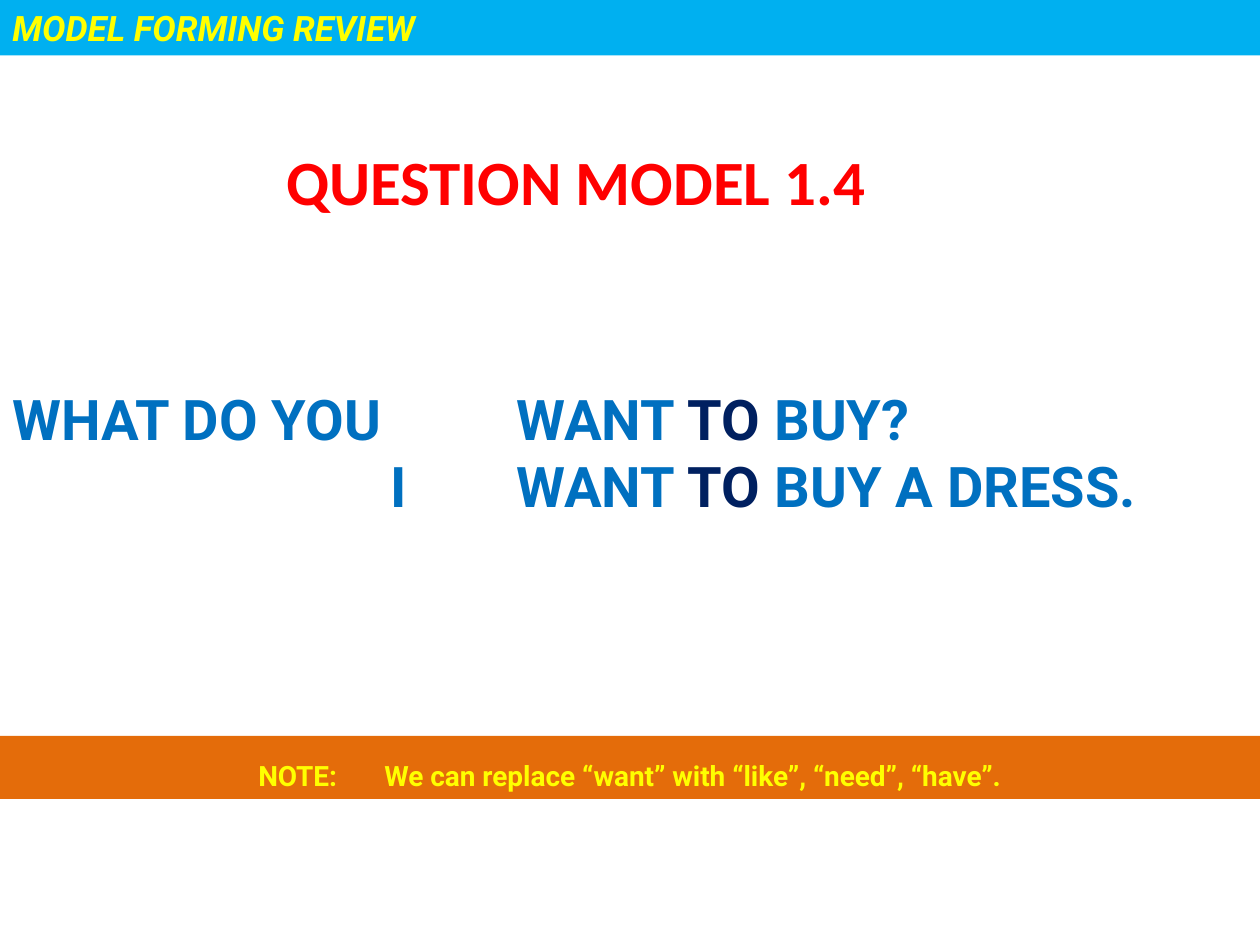
from pptx import Presentation
from pptx import util as u
from pptx.dml.color import RGBColor
from pptx.enum import shapes, text
from pptx.oxml.ns import qn
from lxml import etree

WIDTH, HEIGHT = 10, 7.5
BLUE, NAVY, YELLOW = "0070C0", "002060", "FFFF00"


def colour(code):
    return RGBColor.from_string(code)


def place(box, left, top, width, height):
    box.left, box.top = u.Inches(left), u.Inches(top)
    box.width, box.height = u.Inches(width), u.Inches(height)


def add_tabs(para, count):
    """Set left tab stops one inch apart."""
    tabs = etree.SubElement(para._p.get_or_add_pPr(), qn("a:tabLst"))
    for stop in range(1, count + 1):
        etree.SubElement(tabs, qn("a:tab"), pos=str(u.Inches(stop)), algn="l")


def write(box, lines, size, font="Roboto", italic=False,
          align=text.PP_ALIGN.LEFT, spacing=1.0, tabs=0):
    """Fill a box with lines, each a list of (wording, colour) spans."""
    frame = box.text_frame
    frame.word_wrap = True
    frame.auto_size = text.MSO_AUTO_SIZE.NONE
    frame.vertical_anchor = text.MSO_ANCHOR.TOP
    for index, spans in enumerate(lines):
        para = frame.add_paragraph() if index else frame.paragraphs[0]
        para.alignment = align
        para.line_spacing = spacing
        if tabs:
            add_tabs(para, tabs)
        for wording, code in spans:
            span = para.add_run()
            span.text = wording
            span.font.name = font
            span.font.size = u.Pt(size)
            span.font.bold = True
            span.font.italic = italic
            span.font.color.rgb = colour(code)


def add_band(page, top, height, fill, wording, size, **style):
    """Draw a full-width band with yellow wording."""
    band = page.shapes.add_shape(shapes.MSO_SHAPE.RECTANGLE, 0, 0, 0, 0)
    place(band, 0, top, WIDTH, height)
    band.shadow.inherit = False
    band.fill.solid()
    band.fill.fore_color.rgb = colour(fill)
    band.line.fill.background()
    write(band, [[(wording, YELLOW)]], size, **style)


def main():
    deck = Presentation()
    deck.slide_width, deck.slide_height = u.Inches(WIDTH), u.Inches(HEIGHT)
    page = deck.slides.add_slide(deck.slide_layouts[5])

    # Title
    title = page.shapes.title
    place(title, 2.17, 1.08, 5.17, 0.71)
    write(title, [[("QUESTION MODEL 1.4", "FF0000")]], 36, font="Calibri")

    # Question and answer, aligned by tab stops
    model = page.shapes.add_textbox(0, 0, 0, 0)
    place(model, 0, 0.4 * HEIGHT, WIDTH, 1.18)
    write(model, [
        [("WHAT DO YOU \tWANT ", BLUE), ("TO", NAVY), (" BUY?", BLUE)],
        [("\t\t\tI \tWANT ", BLUE), ("TO ", NAVY), ("BUY A DRESS.", BLUE)],
    ], 32, tabs=4)

    # Header and note bands
    add_band(page, 0, 0.44, "00B0F0", "MODEL FORMING REVIEW", 20, italic=True)
    add_band(page, 5.84, 0.5, "E46C0A",
             "NOTE:\tWe can replace “want” with “like”, “need”, “have”.", 16,
             align=text.PP_ALIGN.CENTER, spacing=1.5, tabs=1)

    deck.save("out.pptx")


if __name__ == "__main__":
    main()
